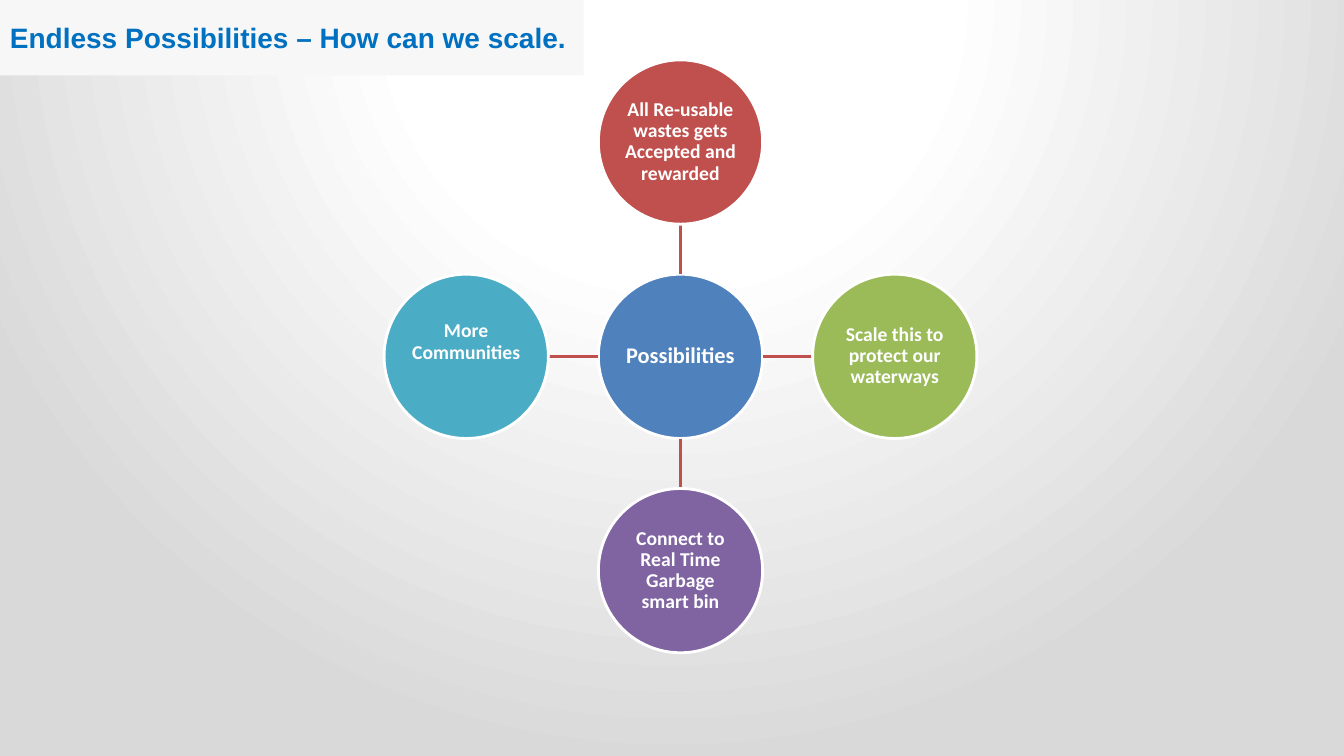
from lxml.etree import SubElement
from pptx import Presentation
from pptx.dml.color import RGBColor
from pptx.enum.shapes import MSO_CONNECTOR as Connector, MSO_SHAPE as Shape
from pptx.enum.text import MSO_ANCHOR as Anchor, PP_ALIGN as Align
from pptx.oxml.ns import qn
from pptx.util import Cm, Pt

COLORS = {
    "white": "FFFFFF", "grey": "D9D9D9", "panel": "F7F7F7", "title": "0070C0",
    "blue": "4F81BD", "red": "C0504D", "green": "9BBB59",
    "purple": "8064A2", "teal": "4BACC6",
}

# Geometry of the radial diagram, in centimetres
CENTRE_X, CENTRE_Y = 17.15, 8.98
DIAMETER = 4.14
RADIUS = DIAMETER / 2
REACH = 5.4

# Direction, colour, label and extra room below the label
SATELLITES = [
    (0, -1, "red", "All Re-usable wastes gets Accepted and rewarded", 0),
    (1, 0, "green", "Scale this to protect our waterways", 0),
    (0, 1, "purple", "Connect to Real Time Garbage smart bin", 0),
    (-1, 0, "teal", "More Communities", 0.71),
]


def color(name):
    return RGBColor.from_string(COLORS[name])


def write(shape, text, size, ink="white", font="Calibri", align=Align.CENTER,
          spacing=0.9, insets=(0.03, 0.03, 0.03, 0.03)):
    frame = shape.text_frame
    frame.word_wrap = True
    frame.vertical_anchor = Anchor.MIDDLE
    (frame.margin_left, frame.margin_top,
     frame.margin_right, frame.margin_bottom) = map(Cm, insets)
    para = frame.paragraphs[0]
    para.alignment = align
    para.line_spacing = spacing
    span = para.add_run()
    span.text = text
    span.font.name = font
    span.font.size = Pt(size)
    span.font.bold = True
    span.font.color.rgb = color(ink)


def add_filled(page, kind, left, top, width, height, fill):
    shape = page.shapes.add_shape(kind, Cm(left), Cm(top), Cm(width), Cm(height))
    shape.shadow.inherit = False
    shape.fill.solid()
    shape.fill.fore_color.rgb = color(fill)
    shape.line.fill.background()
    return shape


def add_circle(page, x, y, fill, label, size=14, room_below=0):
    circle = add_filled(page, Shape.OVAL, x - RADIUS, y - RADIUS,
                        DIAMETER, DIAMETER, fill)
    circle.line.color.rgb = color("white")
    circle.line.width = Pt(2)
    write(circle, label, size, insets=(0.03, 0.03, 0.03, 0.03 + room_below))


def add_spoke(page, dx, dy):
    start, end = RADIUS, REACH - RADIUS
    spoke = page.shapes.add_connector(
        Connector.STRAIGHT,
        Cm(CENTRE_X + dx * start), Cm(CENTRE_Y + dy * start),
        Cm(CENTRE_X + dx * end), Cm(CENTRE_Y + dy * end))
    spoke.line.color.rgb = color("red")
    spoke.line.width = Pt(2)
    SubElement(spoke.element.spPr, qn("a:effectLst"))


def paint_background(page):
    page.background.fill.gradient()
    gradient = page.element.find(".//" + qn("a:gradFill"))
    for child in list(gradient):
        gradient.remove(child)
    stops = SubElement(gradient, qn("a:gsLst"))
    for percent, name in [(0, "white"), (35, "white"), (100, "grey")]:
        stop = SubElement(stops, qn("a:gs"), pos=str(percent * 1000))
        SubElement(stop, qn("a:srgbClr"), val=COLORS[name])
    # Circular spread, centred above the top edge
    spread = SubElement(gradient, qn("a:path"))
    spread.set("path", "circle")
    SubElement(spread, qn("a:fillToRect"),
               l="50000", t="-80000", r="50000", b="180000")


def main():
    deck = Presentation()
    deck.slide_width, deck.slide_height = Cm(33.87), Cm(19.05)
    page = deck.slides.add_slide(deck.slide_layouts[6])
    paint_background(page)

    # Hub, then each spoke with its circle
    add_circle(page, CENTRE_X, CENTRE_Y, "blue", "Possibilities", size=16)
    for dx, dy, fill, label, room_below in SATELLITES:
        add_spoke(page, dx, dy)
        add_circle(page, CENTRE_X + dx * REACH, CENTRE_Y + dy * REACH,
                   fill, label, room_below=room_below)

    # Title panel
    panel = add_filled(page, Shape.RECTANGLE, 0, 0, 14.71, 1.9, "panel")
    write(panel, "Endless Possibilities – How can we scale.", 20, ink="title",
          font="Arial", align=Align.LEFT, spacing=1,
          insets=(0.25, 0.13, 0.25, 0.13))

    deck.save("out.pptx")


if __name__ == "__main__":
    main()
